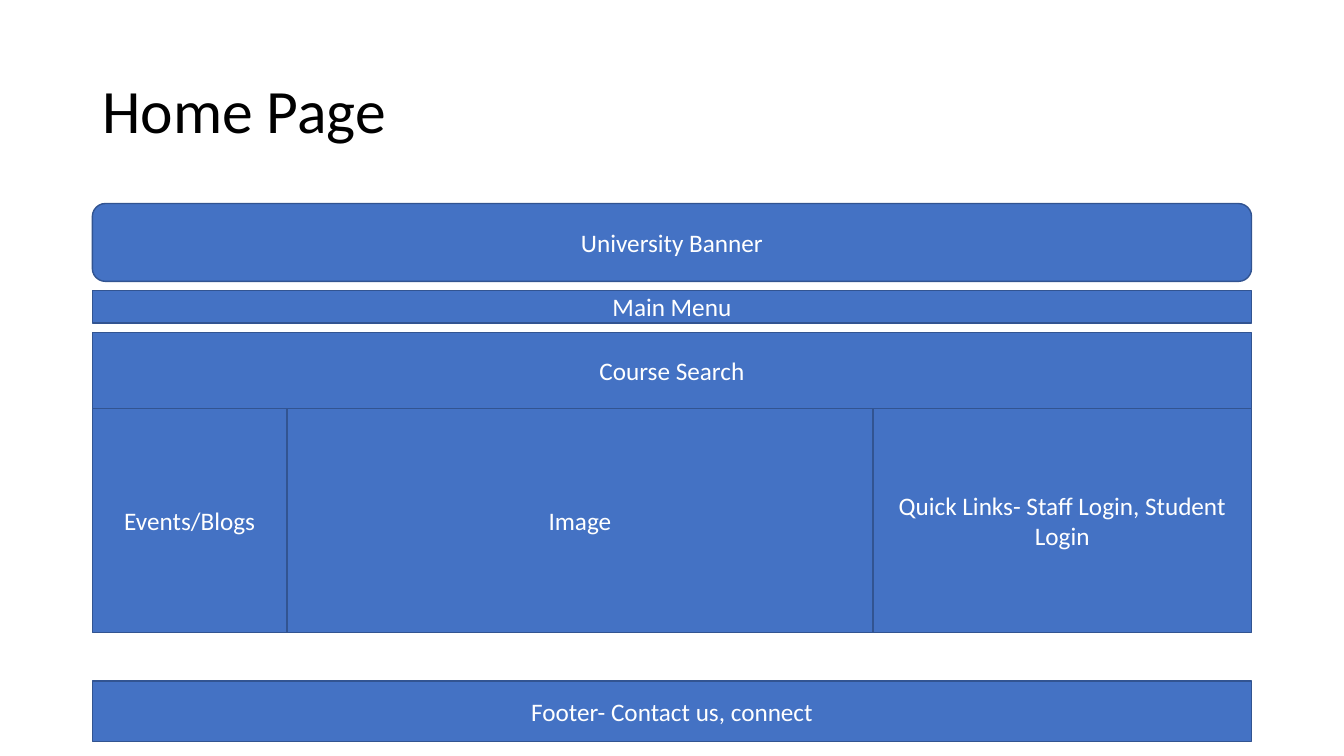
from dataclasses import dataclass

from pptx import Presentation
from pptx.dml.color import RGBColor
from pptx.enum.shapes import MSO_SHAPE as Shape
from pptx.enum.text import MSO_ANCHOR as Anchor, PP_ALIGN as Align
from pptx.util import Pt


@dataclass(frozen=True)
class Theme:
    font: str = "Calibri"
    title_size: float = 44
    label_size: float = 18
    title_color: str = "000000"
    label_color: str = "FFFFFF"
    block_fill: str = "4472C4"
    block_line: str = "325491"
    line_width: float = 1


class Wireframe:
    """Draws page blocks on the current slide in one theme."""

    def __init__(self, slide, theme):
        self.slide = slide
        self.theme = theme

    def add_label(self, shape, text, size, color, **paragraph_format):
        frame = shape.text_frame
        frame.word_wrap = True
        frame.vertical_anchor = Anchor.MIDDLE
        paragraph = frame.paragraphs[0]
        for name, value in paragraph_format.items():
            setattr(paragraph, name, value)
        run = paragraph.add_run()
        run.text = text
        for name, value in {"name": self.theme.font, "size": Pt(size)}.items():
            setattr(run.font, name, value)
        run.font.color.rgb = RGBColor.from_string(color)

    def title(self, text, left, top, width, height):
        box = self.slide.shapes.add_textbox(Pt(left), Pt(top), Pt(width), Pt(height))
        self.add_label(box, text, self.theme.title_size, self.theme.title_color,
                       alignment=Align.LEFT, line_spacing=0.9)

    def block(self, text, left, top, width, height, kind=Shape.RECTANGLE):
        theme = self.theme
        shape = self.slide.shapes.add_shape(kind, Pt(left), Pt(top), Pt(width), Pt(height))
        shape.shadow.inherit = False
        shape.fill.solid()
        shape.fill.fore_color.rgb = RGBColor.from_string(theme.block_fill)
        shape.line.color.rgb = RGBColor.from_string(theme.block_line)
        shape.line.width = Pt(theme.line_width)
        self.add_label(shape, text, theme.label_size, theme.label_color,
                       alignment=Align.CENTER)


def main():
    presentation = Presentation()
    presentation.slide_width, presentation.slide_height = Pt(960), Pt(540)
    slide = presentation.slides.add_slide(presentation.slide_layouts[6])
    page = Wireframe(slide, Theme())
    left, width = 66, 828

    # Title
    page.title("Home Page", left, 28.75, width, 104.4)

    # Full-width bands
    for text, top, height, kind in (
        ("University Banner", 145.4, 55.6, Shape.ROUNDED_RECTANGLE),
        ("Main Menu", 207.4, 23.4, Shape.RECTANGLE),
        ("Course Search", 237.5, 54.5, Shape.RECTANGLE),
        ("Footer- Contact us, connect", 486.5, 43, Shape.RECTANGLE),
    ):
        page.block(text, left, top, width, height, kind)

    # Content columns, side by side under the search band
    column_left = left
    for text, column_width in (
        ("Events/Blogs", 139),
        ("Image", 418.5),
        ("Quick Links- Staff Login, Student Login", 270.5),
    ):
        page.block(text, column_left, 292, column_width, 160)
        column_left += column_width

    presentation.save("out.pptx")


if __name__ == "__main__":
    main()
